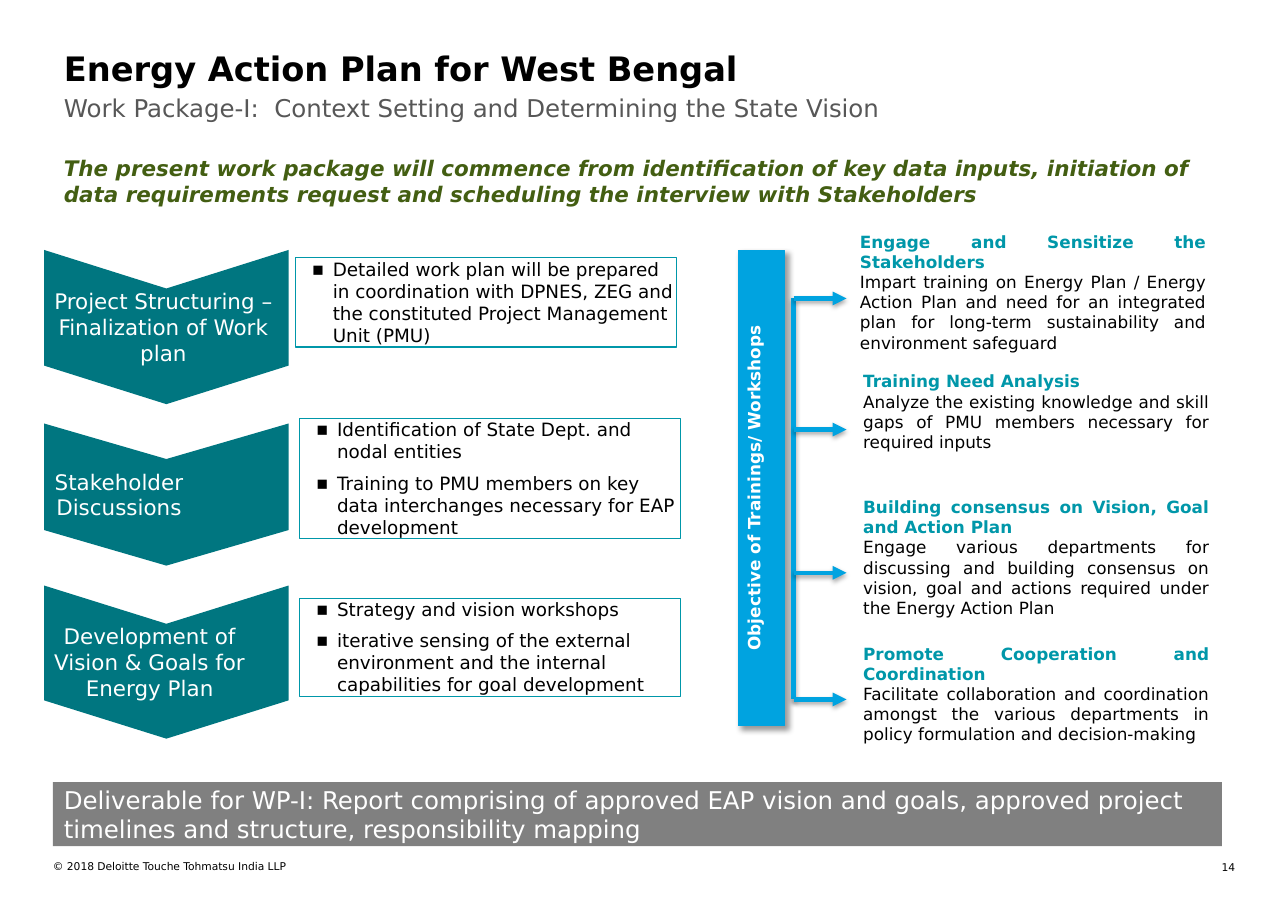
from lxml.etree import SubElement
from pptx import Presentation
from pptx.dml.color import RGBColor
from pptx.enum.shapes import MSO_CONNECTOR, MSO_SHAPE
from pptx.enum.text import MSO_ANCHOR, MSO_AUTO_SIZE, PP_ALIGN
from pptx.oxml.ns import qn
from pptx.util import Pt

FONT = "DejaVu Sans"
BLACK, WHITE, GREY = "000000", "FFFFFF", "808080"
TEAL, CYAN, BLUE = "007680", "0097A9", "00A3E0"

# top, height, label, label width, box left, box top, box height, bullets
STEPS = [
    (0, 100.8, "Project Structuring – Finalization of Work plan", 146, 164.2, 5.1, 58.3,
     ["Detailed work plan will be prepared in coordination with DPNES, ZEG and "
      "the constituted Project Management Unit (PMU)"]),
    (113.4, 92.9, "Stakeholder Discussions", 88, 167, 110.2, 78.5,
     ["Identification of State Dept. and nodal entities",
      "Training to PMU members on key data interchanges necessary for EAP development"]),
    (219.3, 100.1, "Development of Vision & Goals for Energy Plan", 128, 167, 227.6, 64.1,
     ["Strategy and vision workshops",
      "iterative sensing of the external environment and the internal "
      "capabilities for goal development"]),
]

# text left, text top, text height, arrow height, heading, explanation
OBJECTIVES = [
    (72.5, 0, 102.2, 47.5, "Engage and Sensitize the Stakeholders",
     "Impart training on Energy Plan / Energy Action Plan and need for an integrated "
     "plan for long-term sustainability and environment safeguard"),
    (74.6, 91.4, 80.6, 133.2, "Training Need Analysis",
     "Analyze the existing knowledge and skill gaps of PMU members necessary for "
     "required inputs"),
    (74.6, 173.5, 101.5, 226.8, "Building consensus on Vision, Goal and Action Plan",
     "Engage various departments for discussing and building consensus on vision, goal "
     "and actions required under the Energy Action Plan"),
    (74.6, 269.3, 82.8, 309.6, "Promote Cooperation and Coordination",
     "Facilitate collaboration and coordination amongst the various departments in "
     "policy formulation and decision-making"),
]


def colour(value):
    return RGBColor.from_string(value)


def lengths(box):
    return [Pt(value) for value in box]


def prepare_frame(shape, insets=(7.2, 3.6), anchor=MSO_ANCHOR.TOP):
    frame = shape.text_frame
    frame.word_wrap = True
    frame.auto_size = MSO_AUTO_SIZE.NONE
    frame.vertical_anchor = anchor
    frame.margin_left = frame.margin_right = Pt(insets[0])
    frame.margin_top = frame.margin_bottom = Pt(insets[1])
    return frame


def add_span(para, text, size, hue, bold=False, italic=False, align=PP_ALIGN.LEFT):
    para.alignment = align
    span = para.add_run()
    span.text = text
    font = span.font
    font.name, font.size, font.bold, font.italic = FONT, Pt(size), bold, italic
    font.color.rgb = colour(hue)


def add_text(page, box, text, size, hue, insets=(7.2, 3.6), anchor=MSO_ANCHOR.TOP, **style):
    shape = page.shapes.add_textbox(*lengths(box))
    frame = prepare_frame(shape, insets, anchor)
    add_span(frame.paragraphs[0], text, size, hue, **style)
    return frame


def add_block(page, kind, box, fill=None, line=None):
    shape = page.shapes.add_shape(kind, *lengths(box))
    shape.shadow.inherit = False
    if fill:
        shape.fill.solid()
        shape.fill.fore_color.rgb = colour(fill)
    else:
        shape.fill.background()
    if line:
        shape.line.color.rgb = colour(line)
        shape.line.width = Pt(0.75)
    else:
        shape.line.fill.background()
    return shape


def set_shadow(shape, opacity, blur, distance, angle):
    properties = shape._element.spPr
    effects = properties.find(qn("a:effectLst"))
    if effects is None:
        effects = SubElement(properties, qn("a:effectLst"))
    shadow = SubElement(effects, qn("a:outerShdw"), blurRad=str(Pt(blur)),
                        dist=str(Pt(distance)), dir=str(angle * 60000), rotWithShape="0")
    black = SubElement(shadow, qn("a:srgbClr"), val=BLACK)
    SubElement(black, qn("a:alpha"), val=str(opacity * 1000))


def add_line(page, start, end, arrow=False):
    line = page.shapes.add_connector(MSO_CONNECTOR.STRAIGHT, *lengths(start + end))
    line.line.color.rgb = colour(BLUE)
    line.line.width = Pt(3)
    if arrow:
        SubElement(line.line._ln, qn("a:tailEnd"), type="triangle")
    set_shadow(line, 35, 3.1, 1.8, 90)


def set_indent(para, margin, indent, bullet=None):
    properties = para._p.get_or_add_pPr()
    properties.set("marL", str(Pt(margin)))
    properties.set("indent", str(Pt(indent)))
    if bullet:
        SubElement(properties, qn("a:buFont"), typeface=FONT)
        SubElement(properties, qn("a:buChar"), char=bullet)
    else:
        SubElement(properties, qn("a:buNone"))


def fill_placeholder(shape, box, text, size, hue, bold=False):
    shape.left, shape.top, shape.width, shape.height = lengths(box)
    para = prepare_frame(shape).paragraphs[0]
    set_indent(para, 0, 0)
    para.space_before = Pt(0)
    add_span(para, text, size, hue, bold)


def add_header(page, box):
    left, top, width, height = box
    title, subtitle = page.placeholders
    fill_placeholder(title, (left, top, width, 28.8),
                     "Energy Action Plan for West Bengal", 22, BLACK, bold=True)
    fill_placeholder(subtitle, (left, top + 29.5, width, 48.2),
                     "Work Package-I:  Context Setting and Determining the State Vision",
                     16, "575757")
    add_text(page, (left, top + 70.5, width + 3.6, height - 70.5),
             "The present work package will commence from identification of key data inputs, "
             "initiation of data requirements request and scheduling the interview with "
             "Stakeholders", 14, "435E12", bold=True, italic=True)


def add_step(page, box, label, label_width):
    """Place a chevron that points down, with its label over it."""
    left, top, width, height = box
    shift = (width - height) / 2
    chevron = add_block(page, MSO_SHAPE.CHEVRON,
                        (left + shift, top - shift, height, width), TEAL)
    chevron.rotation = 90
    chevron.adjustments[0] = 0.25
    add_text(page, (left + 5, top, label_width, height), label, 14, WHITE,
             insets=(0, 0), anchor=MSO_ANCHOR.MIDDLE, align=PP_ALIGN.CENTER)


def add_bullets(page, box, bullets):
    frame = prepare_frame(add_block(page, MSO_SHAPE.RECTANGLE, box, line=CYAN), (0, 0))
    for index, text in enumerate(bullets):
        para = frame.add_paragraph() if index else frame.paragraphs[0]
        set_indent(para, 24.5, -13.7, "▪")
        para.space_before = Pt(6 if index else 0)
        add_span(para, text, 12, BLACK)


def add_steps(page, box):
    left, top, width, _ = box
    for step_top, height, label, label_width, box_left, box_top, box_height, bullets in STEPS:
        add_step(page, (left, top + step_top, 159.8, height), label, label_width)
        add_bullets(page, (left + box_left, top + box_top, width - 167, box_height), bullets)


def add_objectives(page, box):
    left, top, width, height = box
    bar_width, bar_length, bar_top = 30.2, 311, 15.8
    shift = (bar_length - bar_width) / 2
    bar = add_block(page, MSO_SHAPE.RECTANGLE,
                    (left - shift, top + bar_top + shift, bar_length, bar_width), BLUE, BLUE)
    bar.rotation = 270
    set_shadow(bar, 40, 4, 3, 45)
    add_span(prepare_frame(bar).paragraphs[0], "Objective of Trainings/ Workshops",
             11, WHITE, bold=True, align=PP_ALIGN.CENTER)

    trunk = left + 36.3
    add_line(page, (trunk, top + OBJECTIVES[0][3]), (trunk, top + OBJECTIVES[-1][3]))
    for text_left, text_top, text_height, arrow_top, heading, explanation in OBJECTIVES:
        add_line(page, (trunk, top + arrow_top), (trunk + 34.5, top + arrow_top), arrow=True)
        frame = add_text(page, (left + text_left, top + text_top, width - 74.6, text_height),
                         heading, 11, CYAN, bold=True, align=PP_ALIGN.JUSTIFY)
        add_span(frame.add_paragraph(), explanation, 11, BLACK, align=PP_ALIGN.JUSTIFY)


def add_footer(page, box):
    left, top, width, height = box
    banner = add_block(page, MSO_SHAPE.RECTANGLE, (left, top, width - 8.6, 41.8), GREY)
    frame = prepare_frame(banner, anchor=MSO_ANCHOR.MIDDLE)
    add_span(frame.paragraphs[0],
             "Deliverable for WP-I: Report comprising of approved EAP vision and goals, "
             "approved project timelines and structure, responsibility mapping", 16, WHITE)
    note_top = top + 51.1
    add_text(page, (left, note_top, 369.4, height - 51.1),
             "© 2018 Deloitte Touche Tohmatsu India LLP", 7, BLACK, insets=(0, 0))
    add_text(page, (left + width - 21.6, note_top, 21.6, 8.6), "14", 7, BLACK,
             insets=(0, 0), align=PP_ALIGN.RIGHT)


def main():
    deck = Presentation()
    deck.slide_width, deck.slide_height = Pt(841.68), Pt(595.44)
    page = deck.slides.add_slide(deck.slide_layouts[1])
    add_header(page, (34.6, 27.4, 772.6, 111.5))
    add_steps(page, (28.8, 163.4, 416.1, 319.4))
    add_objectives(page, (482.4, 147.6, 315.1, 352.1))
    add_footer(page, (34.6, 511.2, 772.6, 68.4))
    deck.save("out.pptx")


if __name__ == "__main__":
    main()
